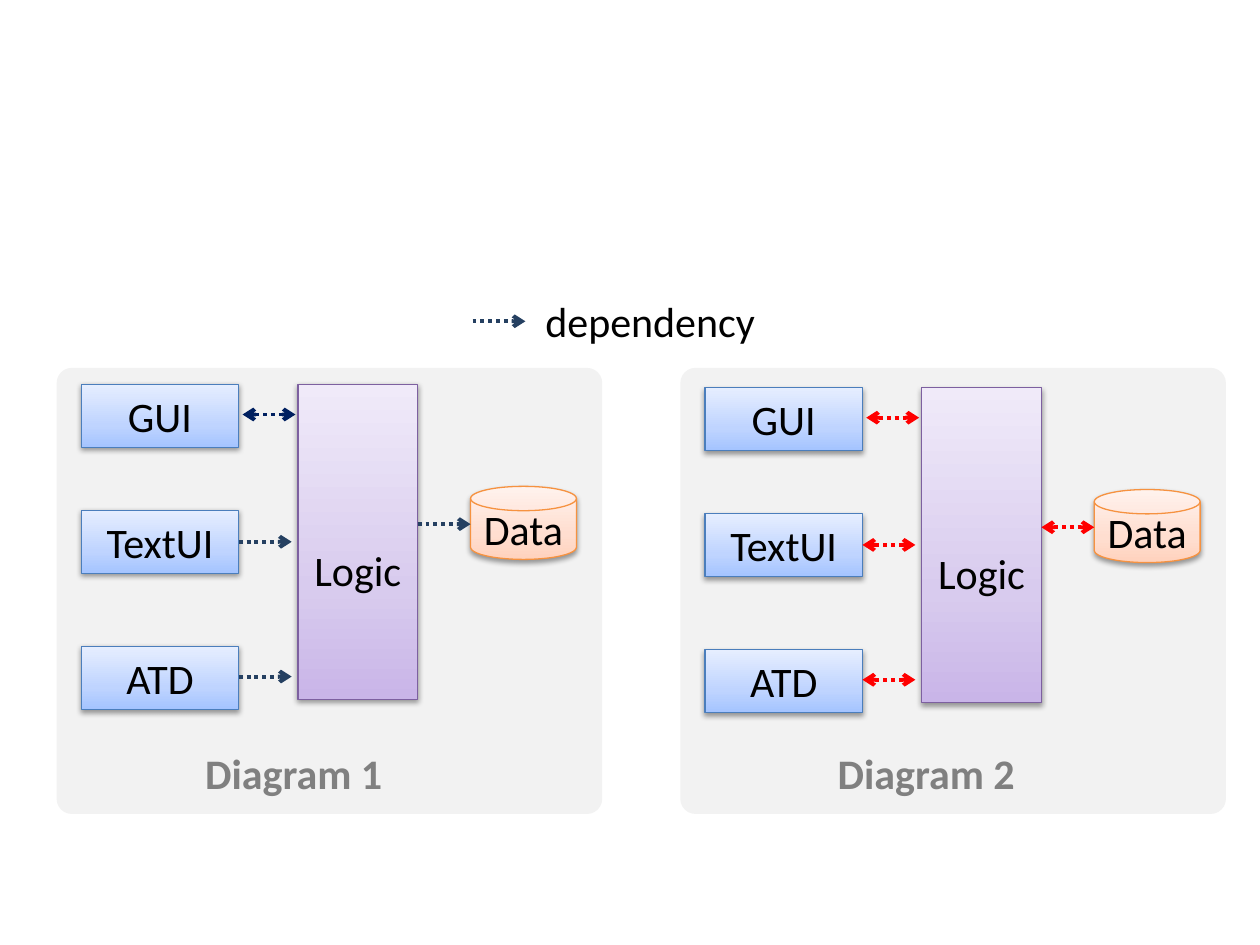
from copy import deepcopy
from dataclasses import dataclass
from typing import NamedTuple

from lxml.etree import SubElement
from pptx import Presentation
from pptx.dml.color import RGBColor
from pptx.enum.dml import MSO_LINE
from pptx.enum.shapes import MSO_CONNECTOR, MSO_SHAPE
from pptx.enum.text import MSO_ANCHOR, PP_ALIGN
from pptx.oxml.ns import qn
from pptx.util import Inches, Pt


@dataclass(frozen=True)
class Theme:
    font: str = "Calibri"
    text_size: float = 24
    outline: float = 0.75
    arrow_width: float = 2.25
    ink: str = "000000"
    caption: str = "808080"
    panel: str = "F2F2F2"
    one_way: str = "254061"
    two_way: str = "002060"
    alert: str = "FF0000"
    ui: tuple = ("4B7EBC", "A4C4FF", "BFD4FF", "E6EEFF")
    logic: tuple = ("7D60A0", "C9B5E8", "D8CBEE", "F0EAF9")
    data: tuple = ("F69240", "FFD2BD", "FFDED0", "FFF2ED")


class Box(NamedTuple):
    col: float
    row: float
    cols: float
    rows: float

    def inner(self, col, row, cols, rows):
        return Box(self.col + col, self.row + row, cols, rows)


THEME = Theme()
COLUMNS, ROWS = 100, 75
SLIDE_WIDTH, SLIDE_HEIGHT = Inches(10), Inches(7.5)
GRADIENT_POSITIONS = (0, 0.35, 1)
SHADOW = {"blurRad": Pt(3.1), "dist": Pt(1.6), "dir": 5400000, "rotWithShape": 0}
INTERFACES = {"GUI": (0, 12.8, 2.4), "TextUI": (10, 12.5, 12.5), "ATD": (20.8, 12.5, 23.2)}


def across(columns):
    return round(SLIDE_WIDTH * columns / COLUMNS)


def down(rows):
    return round(SLIDE_HEIGHT * rows / ROWS)


def place(box):
    return across(box.col), down(box.row), across(box.cols), down(box.rows)


def apply(target, formats):
    for attribute, value in formats.items():
        setattr(target, attribute, value)


def write(frame, words, color=THEME.ink, bold=False, align=PP_ALIGN.LEFT, **layout):
    apply(frame, {"word_wrap": True, "vertical_anchor": MSO_ANCHOR.TOP, **layout})
    paragraph = frame.paragraphs[0]
    paragraph.alignment = align
    run = paragraph.add_run()
    run.text = words
    apply(run.font, {"name": THEME.font, "size": Pt(THEME.text_size), "bold": bold})
    run.font.color.rgb = RGBColor.from_string(color)


def label(slide, box, words, **formats):
    write(slide.shapes.add_textbox(*place(box)).text_frame, words, **formats)


def panel(slide, box):
    backdrop = slide.shapes.add_shape(MSO_SHAPE.ROUNDED_RECTANGLE, *place(box))
    backdrop.adjustments[0] = 0.034
    backdrop.shadow.inherit = False
    backdrop.fill.solid()
    backdrop.fill.fore_color.rgb = RGBColor.from_string(THEME.panel)
    backdrop.line.fill.background()


def component(slide, box, words, palette, outline=MSO_SHAPE.RECTANGLE, **layout):
    part = slide.shapes.add_shape(outline, *place(box))
    edge, *tints = palette
    part.fill.gradient()
    part.fill.gradient_angle = 90
    properties = part._element.spPr
    stops = properties.find(".//" + qn("a:gsLst"))
    stops.append(deepcopy(stops[0]))
    for stop, position, tint in zip(part.fill.gradient_stops, GRADIENT_POSITIONS, tints):
        stop.color.rgb = RGBColor.from_string(tint)
        stop.position = position
    part.line.color.rgb = RGBColor.from_string(edge)
    part.line.width = Pt(THEME.outline)
    part.shadow.inherit = False
    shade = SubElement(properties.find(qn("a:effectLst")), qn("a:outerShdw"))
    for attribute, value in SHADOW.items():
        shade.set(attribute, str(value))
    shade_color = SubElement(shade, qn("a:srgbClr"), val=THEME.ink)
    SubElement(shade_color, qn("a:alpha"), val="38000")
    write(part.text_frame, words, align=PP_ALIGN.CENTER, **layout)


def dependency(slide, col, row, color, mutual=False):
    arrow = slide.shapes.add_connector(
        MSO_CONNECTOR.STRAIGHT, across(col), down(row), across(col + 4.2), down(row))
    arrow.line.color.rgb = RGBColor.from_string(color)
    apply(arrow.line, {"width": Pt(THEME.arrow_width), "dash_style": MSO_LINE.ROUND_DOT})
    properties = arrow._element.spPr
    for end in ("a:headEnd", "a:tailEnd") if mutual else ("a:tailEnd",):
        SubElement(properties.find(qn("a:ln")), qn(end), type="arrow")
    SubElement(properties, qn("a:effectLst"))


def legend(slide, box):
    dependency(slide, box.col, box.row + 2.5, THEME.one_way)
    label(slide, box.inner(4.8, 0, 23.5, box.rows), "dependency")


def architecture(slide, box, arrows):
    for name, (row, arrow_col, arrow_row) in INTERFACES.items():
        component(slide, box.inner(0, row, 12.5, 5), name, THEME.ui)
        dependency(slide, box.col + arrow_col, box.row + arrow_row, *arrows[name])
    component(slide, box.inner(17.2, 0, 9.5, 25), "Logic", THEME.logic, margin_top=down(12.7))
    component(slide, box.inner(30.9, 8.1, 8.4, 5.8), "Data", THEME.data,
              MSO_SHAPE.FLOWCHART_MAGNETIC_DISK, vertical_anchor=MSO_ANCHOR.MIDDLE)
    dependency(slide, box.col + 26.7, box.row + 11.1, *arrows["Data"])


def diagram(slide, box, caption, caption_col, drop, arrows):
    panel(slide, box)
    architecture(slide, box.inner(1.95, drop, 39.3, 25.8), arrows)
    label(slide, box.inner(caption_col, 29.6, 23.5, 5), caption,
          color=THEME.caption, bold=True)


def main():
    deck = Presentation()
    apply(deck, {"slide_width": SLIDE_WIDTH, "slide_height": SLIDE_HEIGHT})
    slide = deck.slides.add_slide(deck.slide_layouts[6])
    parts = [*INTERFACES, "Data"]
    layered = {**dict.fromkeys(parts, (THEME.one_way,)), "GUI": (THEME.two_way, True)}
    tangled = dict.fromkeys(parts, (THEME.alert, True))
    diagram(slide, Box(4.5, 29.2, 43.3, 35.4), "Diagram 1", 10.8, 1.3, layered)
    diagram(slide, Box(54, 29.2, 43.3, 35.4), "Diagram 2", 11.5, 1.55, tangled)
    legend(slide, Box(37.5, 23, 28.3, 5))
    deck.save("out.pptx")


if __name__ == "__main__":
    main()
